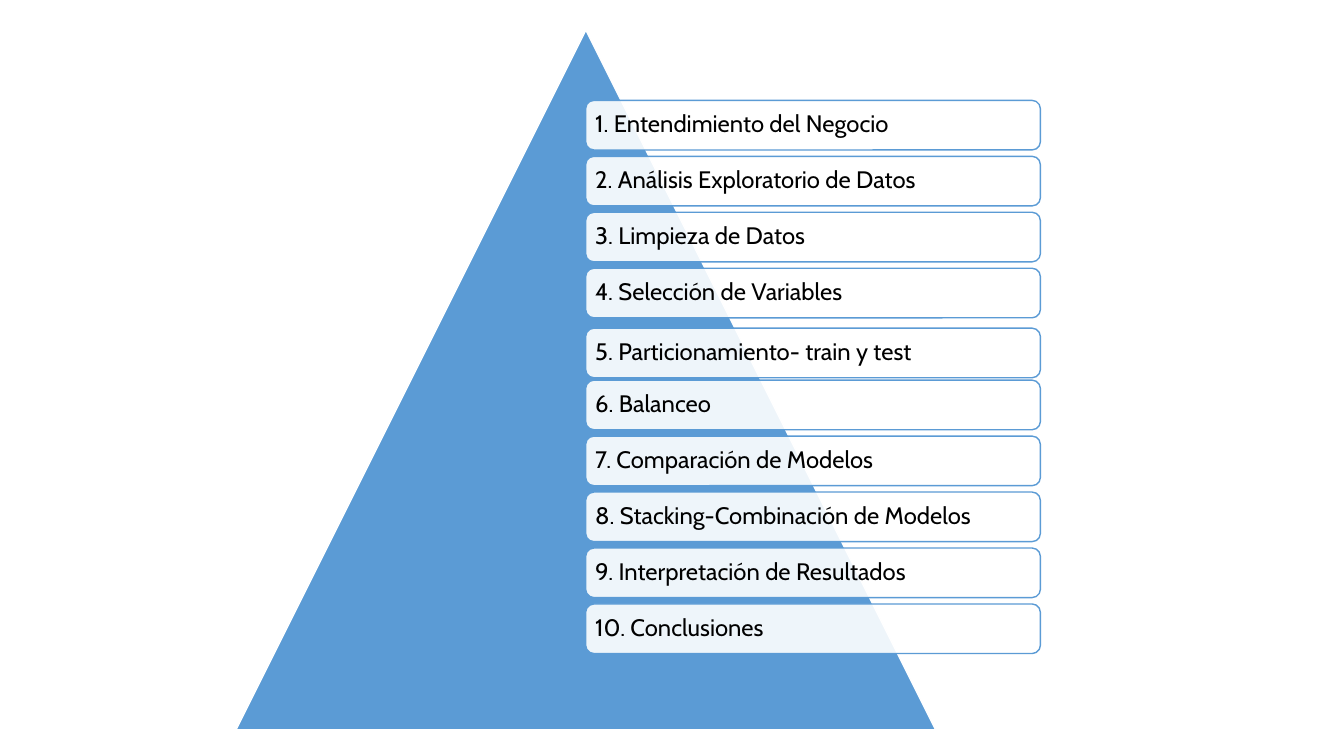
"""Build a slide with a triangle and ten numbered project steps."""
from lxml import etree
from pptx import Presentation
from pptx.dml.color import RGBColor
from pptx.enum.shapes import MSO_SHAPE
from pptx.enum.text import MSO_ANCHOR, PP_ALIGN
from pptx.oxml.ns import qn
from pptx.util import Cm, Pt

TRIANGLE = MSO_SHAPE.ISOSCELES_TRIANGLE
ROUNDED = MSO_SHAPE.ROUNDED_RECTANGLE
MIDDLE = MSO_ANCHOR.MIDDLE
LEFT = PP_ALIGN.LEFT

STEPS = [
    "Entendimiento del Negocio",
    "Análisis Exploratorio de Datos",
    "Limpieza de Datos",
    "Selección de Variables",
    "Particionamiento- train y test",
    "Balanceo",
    "Comparación de Modelos",
    "Stacking-Combinación de Modelos",
    "Interpretación de Resultados",
    "Conclusiones",
]
BLUE, WHITE, BLACK = "5B9BD5", "FFFFFF", "000000"
FONT, SIZE = "Cabin", 17
PEAK = (5.95, 0.76, 17.63, 17.63)
X, TOP, WIDE, HIGH = 14.76, 2.53, 11.46, 1.25
PITCH, INSET = 1.41, 0.18
SHIFTS = {5: 0.1}


def paint(form, tone):
    form.solid()
    form.fore_color.rgb = RGBColor.from_string(tone)


def add_form(slide, kind, box, fill, line):
    form = slide.shapes.add_shape(kind, *[Cm(n) for n in box])
    form.shadow.inherit = False
    paint(form.fill, fill)
    paint(form.line.fill, line)
    form.line.width = Pt(1)
    return form


def fade(form, percent):
    color = form._element.spPr.find(qn("a:solidFill"))[0]
    etree.SubElement(color, qn("a:alpha"), val=str(percent * 1000))


def write(form, text):
    frame = form.text_frame
    frame.text = text
    frame.word_wrap = True
    frame.vertical_anchor = MIDDLE
    frame.margin_left = frame.margin_right = Cm(INSET)
    frame.margin_top = frame.margin_bottom = Cm(INSET)
    para = frame.paragraphs[0]
    para.alignment = LEFT
    para.line_spacing = 0.9
    font = para.runs[0].font
    font.name, font.size = FONT, Pt(SIZE)
    paint(font.fill, BLACK)


def main():
    deck = Presentation()
    deck.slide_width, deck.slide_height = Cm(33.87), Cm(19.05)
    slide = deck.slides.add_slide(deck.slide_layouts[6])
    add_form(slide, TRIANGLE, PEAK, BLUE, WHITE)
    for num, step in enumerate(STEPS, 1):
        y = TOP + (num - 1) * PITCH + SHIFTS.get(num, 0)
        card = add_form(slide, ROUNDED, (X, y, WIDE, HIGH), WHITE, BLUE)
        fade(card, 90)
        write(card, f"{num}. {step}")
    deck.save("out.pptx")


if __name__ == "__main__":
    main()
